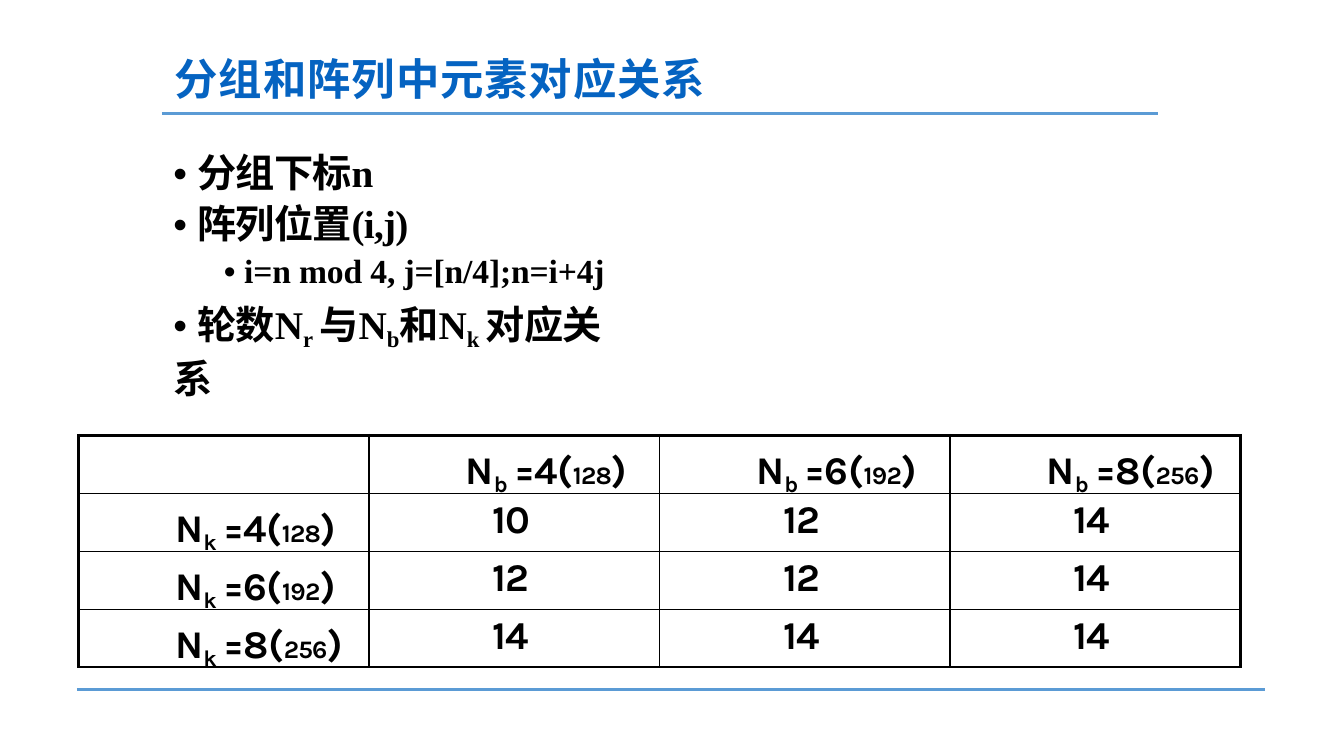
from lxml import etree
from pptx import Presentation
from pptx import util as u
from pptx.dml.color import RGBColor
from pptx.enum import shapes, text
from pptx.oxml import ns

BLACK = RGBColor(0x00, 0x00, 0x00)
TITLE_BLUE = RGBColor(0x05, 0x63, 0xC1)
RULE_BLUE = RGBColor(0x5B, 0x9B, 0xD5)
CHINESE = "Noto Sans CJK SC"
SERIF = "Times New Roman"
BULLET = "Arial"
TABLE_FONT = "Karla"
KEY_SIZES = {4: 128, 6: 192, 8: 256}
ROUNDS = [[10, 12, 14], [12, 12, 14], [14, 14, 14]]


class SlideBuilder:
    def __init__(self, presentation):
        self.slide = presentation.slides.add_slide(presentation.slide_layouts[5])

    def run(self, paragraph, content, font, size=28, color=BLACK, bold=True,
            spacing=-0.5, baseline=0):
        run = paragraph.add_run()
        run.text = content
        run.font.name = font
        run.font.size = u.Pt(size)
        run.font.bold = bold
        run.font.color.rgb = color
        properties = run._r.get_or_add_rPr()
        properties.set("spc", str(round(spacing * 100)))
        if baseline:
            properties.set("baseline", str(baseline * 1000))
        etree.SubElement(properties, ns.qn("a:ea")).set("typeface", font)

    def prepare(self, frame):
        frame.word_wrap = True
        frame.auto_size = text.MSO_AUTO_SIZE.NONE
        frame.vertical_anchor = text.MSO_ANCHOR.TOP
        frame.margin_left = frame.margin_right = 0
        frame.margin_top = frame.margin_bottom = 0

    def title(self, content, left, top, width, height):
        shape = self.slide.shapes.title
        shape.left, shape.top = u.Cm(left), u.Cm(top)
        shape.width, shape.height = u.Cm(width), u.Cm(height)
        self.prepare(shape.text_frame)
        paragraph = shape.text_frame.paragraphs[0]
        paragraph.alignment = text.PP_ALIGN.LEFT
        paragraph.line_spacing = 0.96
        self.run(paragraph, content, CHINESE, 31, TITLE_BLUE, spacing=0.7)

    def body(self, items, left, top, width, height):
        shape = self.slide.shapes.add_textbox(
            u.Cm(left), u.Cm(top), u.Cm(width), u.Cm(height))
        frame = shape.text_frame
        self.prepare(frame)
        for index, (indent, line_spacing, before, size, runs) in enumerate(items):
            paragraph = frame.add_paragraph() if index else frame.paragraphs[0]
            paragraph.line_spacing = line_spacing
            paragraph.space_before = u.Pt(before)
            paragraph._p.get_or_add_pPr().set("marL", str(u.Cm(indent)))
            self.run(paragraph, "• ", BULLET, size, bold=False)
            for content, font, options in runs:
                self.run(paragraph, content, font, **{"size": size, **options})

    def rule(self, left, right, y):
        line = self.slide.shapes.add_connector(
            shapes.MSO_CONNECTOR.STRAIGHT, u.Cm(left), u.Cm(y), u.Cm(right), u.Cm(y))
        line.line.color.rgb = RULE_BLUE
        line.line.width = u.Pt(2.16)
        etree.SubElement(line._element.spPr, ns.qn("a:effectLst"))

    def borders(self, cell, outer_sides):
        properties = cell._tc.get_or_add_tcPr()
        for side in "LRTB":
            width = u.Pt(2.25 if side in outer_sides else 1)
            line = etree.SubElement(properties, ns.qn("a:ln" + side), w=str(width))
            fill = etree.SubElement(line, ns.qn("a:solidFill"))
            etree.SubElement(fill, ns.qn("a:srgbClr"), val=str(BLACK))

    def size_label(self, paragraph, subscript, words):
        self.run(paragraph, "N", TABLE_FONT, spacing=-2.2)
        self.run(paragraph, subscript, TABLE_FONT, baseline=-19)
        self.run(paragraph, " ", TABLE_FONT, 18, spacing=-2.2)
        self.run(paragraph, f"={words}(", TABLE_FONT)
        self.run(paragraph, str(KEY_SIZES[words]), TABLE_FONT, 18)
        self.run(paragraph, ")", TABLE_FONT)

    def rounds_table(self, left, top, column_width, row_height):
        words = list(KEY_SIZES)
        count = len(words) + 1
        table = self.slide.shapes.add_table(
            count, count, u.Cm(left), u.Cm(top),
            u.Cm(column_width * count), u.Cm(row_height * count)).table
        table.first_row = table.horz_banding = False
        for row in range(count):
            table.rows[row].height = u.Cm(row_height)
            table.columns[row].width = u.Cm(column_width)
            for column in range(count):
                cell = table.cell(row, column)
                is_label = row == 0 or column == 0
                cell.margin_left = u.Cm(2.44 if is_label else 3.12)
                cell.margin_right = cell.margin_top = cell.margin_bottom = 0
                cell.vertical_anchor = (
                    text.MSO_ANCHOR.BOTTOM if is_label else text.MSO_ANCHOR.MIDDLE)
                edges = {"L": column == 0, "R": column == count - 1,
                         "T": row == 0, "B": row == count - 1}
                self.borders(cell, [side for side, outer in edges.items() if outer])
                cell.fill.background()
                paragraph = cell.text_frame.paragraphs[0]
                paragraph.line_spacing = 0.87 if is_label else 0.82
                if row and column:
                    self.run(paragraph, str(ROUNDS[row - 1][column - 1]),
                             TABLE_FONT, spacing=-0.8)
                elif row:
                    self.size_label(paragraph, "k", words[row - 1])
                elif column:
                    self.size_label(paragraph, "b", words[column - 1])


def main():
    presentation = Presentation()
    presentation.slide_width = u.Cm(33.87)
    presentation.slide_height = u.Cm(19.05)
    builder = SlideBuilder(presentation)

    subscript = {"baseline": -20}
    items = [
        (0.03, u.Pt(33.9), 0, 28,
         [("分组下标", CHINESE, {}), ("n", SERIF, {})]),
        (0.03, 0.92, 6.5, 28,
         [("阵列位置", CHINESE, {}), ("(i,j)", SERIF, {})]),
        (1.3, 0.81, 7.2, 24,
         [("i=n mod 4, j=[n/4];n=i+4j", SERIF, {"spacing": -0.1})]),
        (0.03, u.Pt(34.9), 9.4, 28,
         [("轮数", CHINESE, {}),
          ("N", SERIF, {}), ("r", SERIF, subscript),
          (" ", SERIF, {"size": 18, "spacing": -1.7}),
          ("与", CHINESE, {}),
          ("N", SERIF, {}), ("b", SERIF, subscript),
          ("和", CHINESE, {}),
          ("N", SERIF, {}), ("k", SERIF, subscript),
          (" ", SERIF, {"size": 18, "spacing": -2.7}),
          ("对应关系", CHINESE, {})]),
    ]
    builder.rounds_table(1.98, 10.97, 7.32, 1.46)
    builder.body(items, 4.34, 3.72, 11.75, 6.4)
    builder.title("分组和阵列中元素对应关系", 4.4, 1.41, 14.5, 1.3)
    builder.rule(1.94, 31.88, 17.37)
    builder.rule(4.08, 29.18, 2.87)
    presentation.save("out.pptx")


if __name__ == "__main__":
    main()
